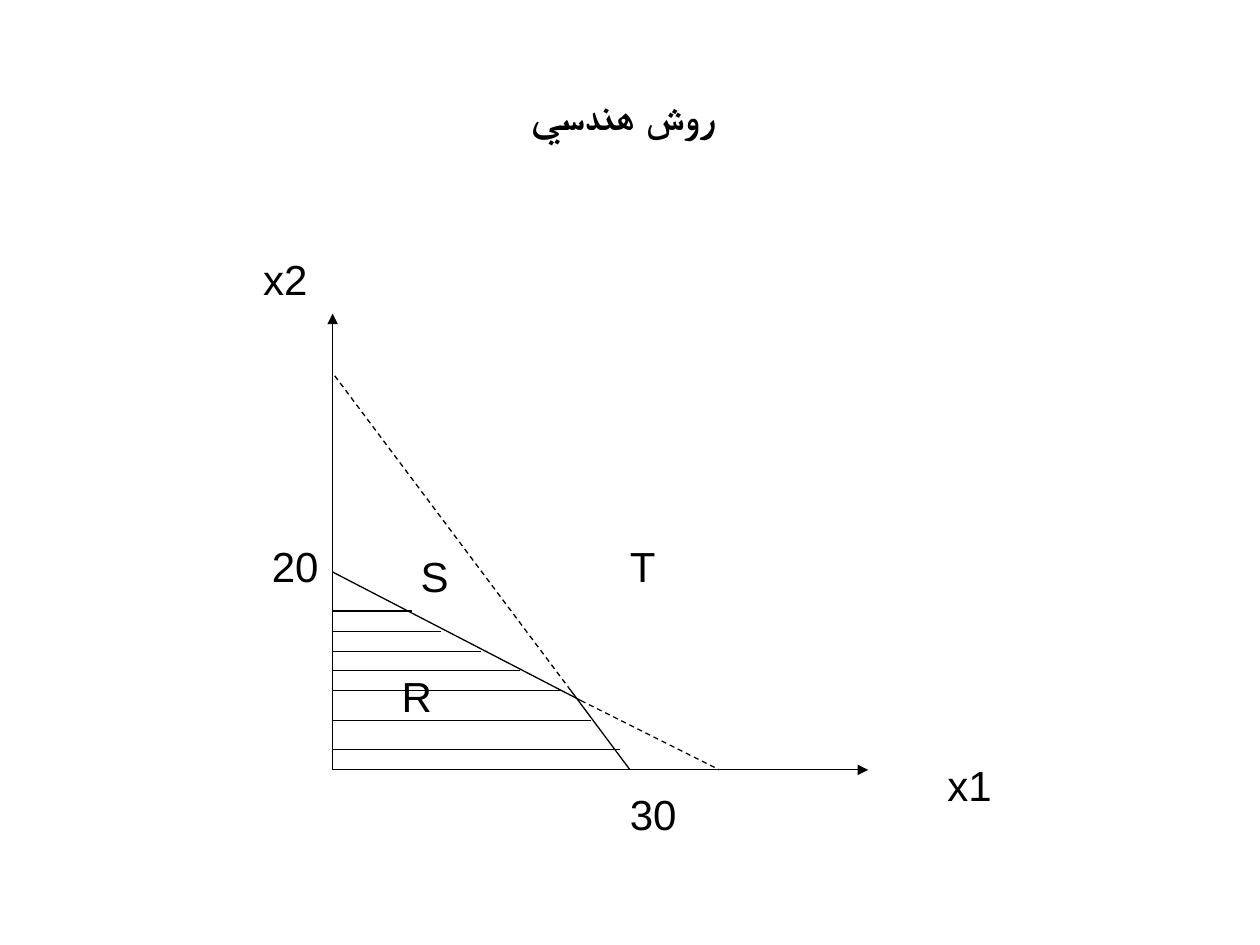
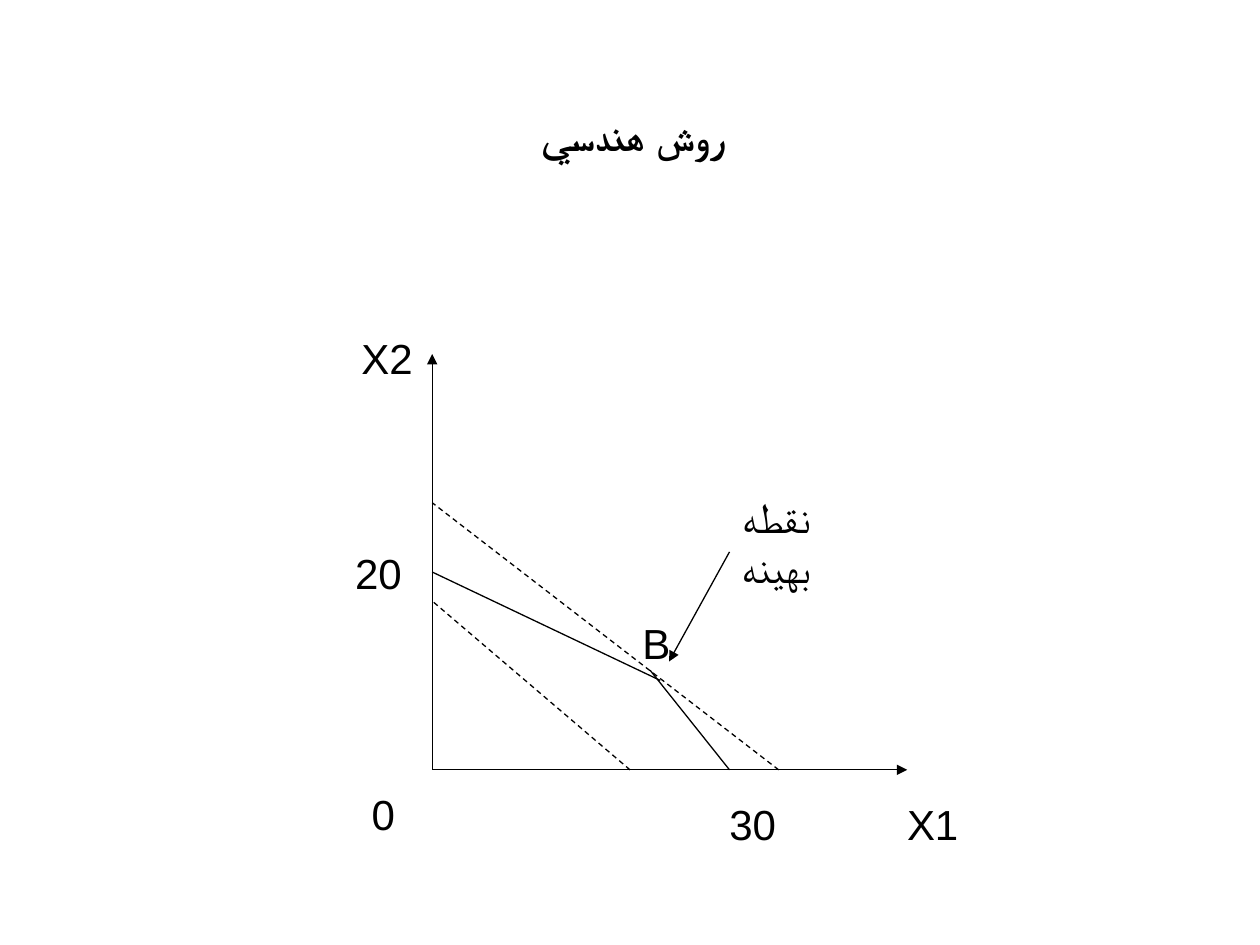
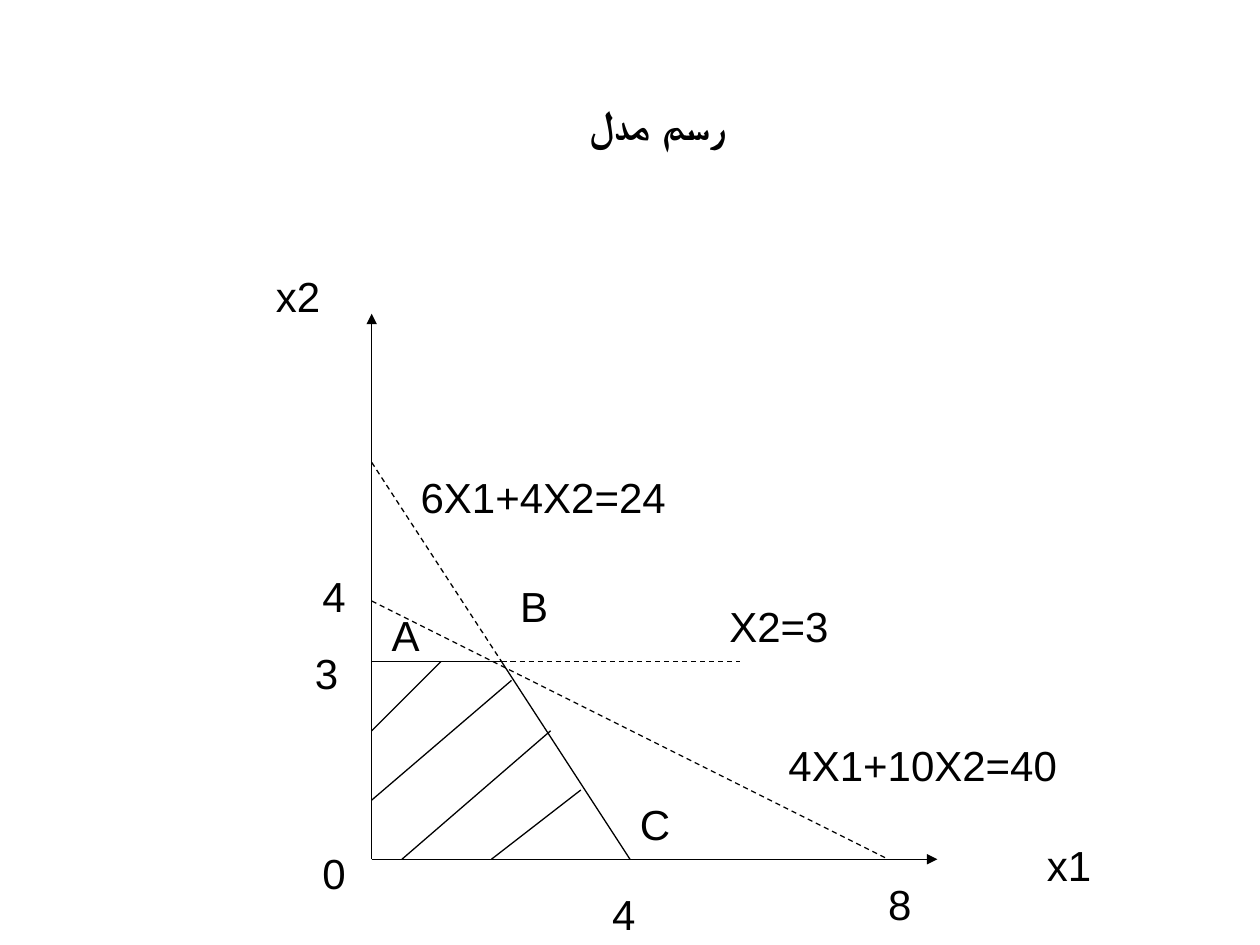
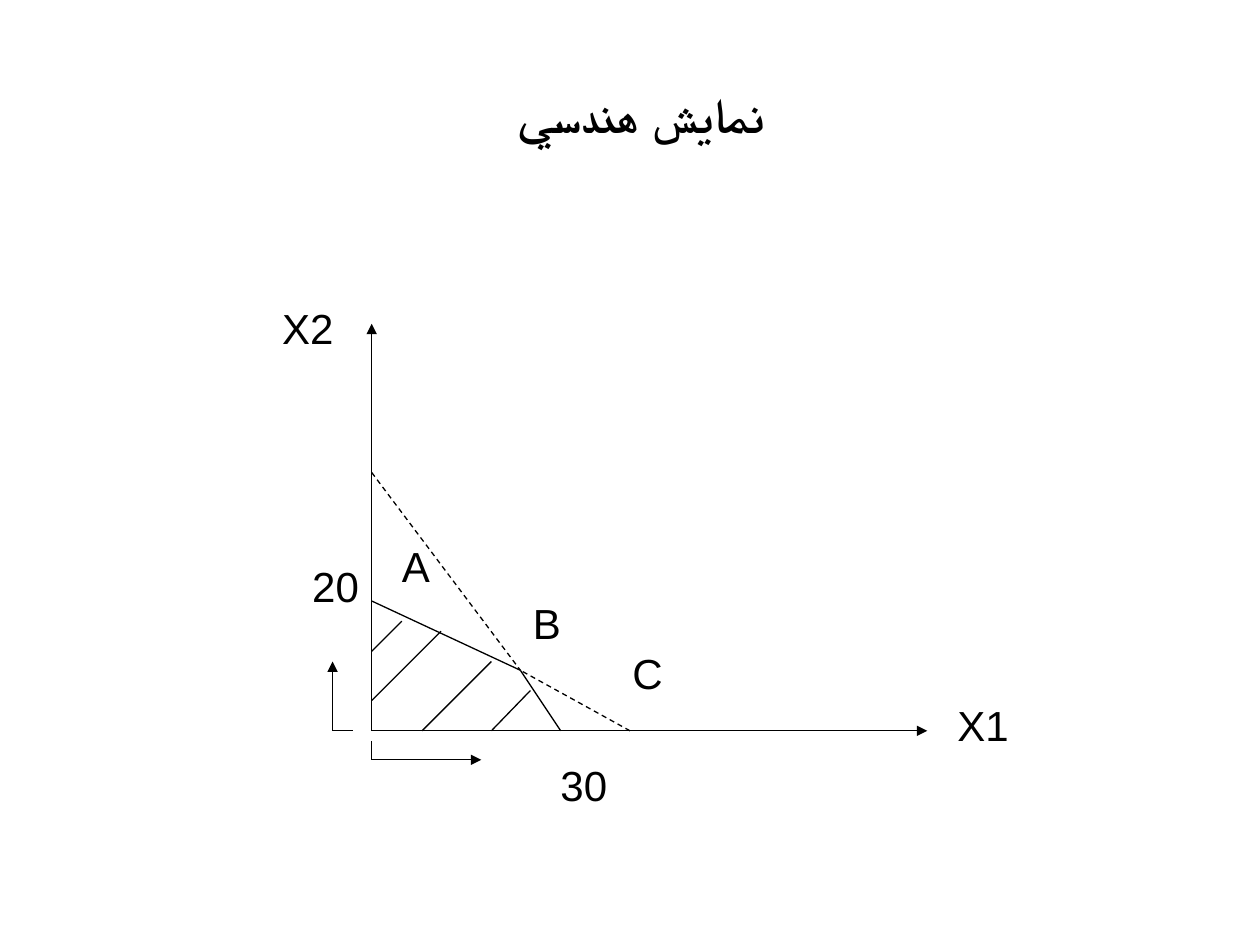
import dataclasses
import pptx
import pptx.dml.color
import pptx.enum.dml
import pptx.enum.shapes
import pptx.enum.text
import pptx.oxml
import pptx.oxml.ns
import pptx.slide
import pptx.util

Inches = pptx.util.Inches
BLACK = "000000"
FONT = "Arial"
LABEL_HEIGHT = 0.5
LABEL_WIDTHS = {
    "20": 0.57, "30": 0.57, "x1": 0.55, "x2": 0.55, "X1": 0.61, "X2": 0.61,
    "R": 0.44, "C": 0.44, "S": 0.42, "A": 0.42, "B": 0.42, "T": 0.4,
    "X2=3": 0.99, "6X1+4X2=24": 2.15, "4X1+10X2=40": 2.34, "نقطه بهينه": 1.28,
}
DIGIT_WIDTH = 0.39


def color(hex_string):
    """Turn a hex string into a colour."""
    return pptx.dml.color.RGBColor.from_string(hex_string)


def write(frame, text, size=24, bold=False, align="LEFT", rtl=False):
    """Fill a text frame with one formatted paragraph."""
    paragraph = frame.paragraphs[0]
    paragraph.alignment = getattr(pptx.enum.text.PP_ALIGN, align)
    if rtl:
        paragraph._p.get_or_add_pPr().set("rtl", "1")
    run = paragraph.add_run()
    run.text = text
    run.font.name = FONT
    run.font.size = pptx.util.Pt(size)
    run.font.bold = bold
    run.font.color.rgb = color(BLACK)


def titled_slide(deck, text, left, top, size=24, lead=0):
    """Add a title-only slide with its heading; lead is the extra left inset."""
    slide = deck.slides.add_slide(deck.slide_layouts[5])
    heading = slide.shapes.title
    heading.left, heading.top = Inches(left), Inches(top)
    heading.width, heading.height = Inches(9), Inches(1.25)
    frame = heading.text_frame
    frame.margin_left = Inches(0.1 + lead)
    frame.vertical_anchor = pptx.enum.text.MSO_ANCHOR.MIDDLE
    write(frame, text, size=size, bold=True, align="CENTER")
    return slide


@dataclasses.dataclass
class Graph:
    """A graph whose points are inches right of and above its origin."""
    slide: pptx.slide.Slide
    left: float
    base: float

    def place(self, point):
        """Turn a graph point into slide lengths."""
        across, up = point
        return Inches(self.left + across), Inches(self.base - up)

    def line(self, start, end, dashed=False, arrow=False):
        """Draw one thin line between two points."""
        stroke = self.slide.shapes.add_connector(
            pptx.enum.shapes.MSO_CONNECTOR.STRAIGHT, *self.place(start), *self.place(end))
        stroke.line.color.rgb = color(BLACK)
        stroke.line.width = pptx.util.Pt(0.75)
        if dashed:
            stroke.line.dash_style = pptx.enum.dml.MSO_LINE.DASH
        if arrow:
            head = pptx.oxml.parse_xml(
                f'<a:tailEnd {pptx.oxml.ns.nsdecls("a")} type="triangle"/>')
            stroke.line._get_or_add_ln().append(head)
        stroke._element.spPr.append(
            pptx.oxml.parse_xml(f'<a:effectLst {pptx.oxml.ns.nsdecls("a")}/>'))

    def lines(self, *segments, **style):
        """Draw several lines in one style."""
        for start, end in segments:
            self.line(start, end, **style)

    def axes(self, across, up):
        """Draw the two arrowed axes."""
        self.lines(((0, 0), (0, up)), ((0, 0), (across, 0)), arrow=True)

    def label(self, text, across, up, wrap=False, **style):
        """Put a label with its top left corner at a point."""
        width = LABEL_WIDTHS.get(text, DIGIT_WIDTH)
        box = self.slide.shapes.add_textbox(
            *self.place((across, up)), Inches(width), Inches(LABEL_HEIGHT))
        box.text_frame.word_wrap = wrap
        box.text_frame.auto_size = pptx.enum.text.MSO_AUTO_SIZE.SHAPE_TO_FIT_TEXT
        write(box.text_frame, text, **style)

    def labels(self, *items):
        """Put several plain labels."""
        for item in items:
            self.label(*item)


def regions_slide(deck):
    """Show the regions R, S and T cut by two constraints."""
    graph = Graph(titled_slide(deck, "روش هندسي", 0.35, 0.28, lead=0.19), 2.64, 6.11)
    graph.axes(4.25, 3.62)
    graph.lines(((2.36, 0), (1.89, 0.63)), ((0, 1.57), (1.97, 0.55)))
    hatching = [(0.63, 1.26), (0.86, 1.1), (1.18, 0.94), (1.49, 0.79),
                (1.81, 0.63), (2.05, 0.39), (0.71, 0.16), (2.28, 0.16)]
    graph.lines(*(((0, up), (across, up)) for across, up in hatching))
    graph.lines(((1.89, 0.63), (0, 3.15)), ((1.97, 0.55), (3.07, 0)), dashed=True)
    graph.labels(("20", -0.58, 1.87), ("30", 2.26, -0.1), ("x2", -0.65, 4.15),
                 ("x1", 4.78, 0.13), ("R", 0.45, 0.84), ("S", 0.6, 1.79), ("T", 2.26, 1.87))


def optimum_slide(deck):
    """Show the objective lines and the optimal point."""
    graph = Graph(titled_slide(deck, "روش هندسي", 0.43, 0.44, lead=0.19), 3.43, 6.11)
    graph.axes(3.77, 3.3)
    graph.lines(((0, 1.57), (1.81, 0.71)), ((2.36, 0), (1.73, 0.79)))
    graph.lines(((1.57, 0), (0, 1.34)), ((2.75, 0), (0, 2.12)), dashed=True)
    graph.label("نقطه بهينه", 1.82, 2.26, wrap=True, align="RIGHT", rtl=True)
    graph.line((2.36, 1.73), (1.88, 0.86), arrow=True)
    graph.labels(("20", -0.71, 1.81), ("30", 2.26, -0.18), ("X2", -0.66, 3.52),
                 ("X1", 3.67, -0.18), ("B", 1.57, 1.26), ("0", -0.58, -0.1))


def model_slide(deck):
    """Show the model with its three constraint equations."""
    graph = Graph(titled_slide(deck, "رسم مدل", 0.67, 0.36, lead=0.09), 2.95, 6.82)
    corner = (1.03, 1.57)
    graph.axes(4.49, 4.33)
    graph.lines(((2.05, 0), corner), (corner, (0, 1.57)))
    graph.lines((corner, (2.92, 1.57)), ((0, 3.15), corner), ((0, 2.05), (4.1, 0)),
                dashed=True)
    graph.lines(((0.55, 1.57), (0, 1.02)), ((1.11, 1.42), (0, 0.47)),
                ((1.42, 1.02), (0.24, 0)), ((1.66, 0.55), (0.95, 0)))
    graph.label("x2", -0.86, 4.72, align="RIGHT", rtl=True)
    graph.labels(("x1", 5.26, 0.21), ("0", -0.49, 0.14), ("3", -0.55, 1.73),
                 ("4", 1.81, -0.18), ("4", -0.49, 2.34), ("8", 4, -0.1),
                 ("B", 1.08, 2.26), ("A", 0.06, 2.03), ("C", 2.03, 0.53),
                 ("X2=3", 2.74, 2.1), ("6X1+4X2=24", 0.29, 3.13),
                 ("4X1+10X2=40", 3.21, 1))


def feasible_slide(deck):
    """Show the feasible region and the directions of growth."""
    graph = Graph(titled_slide(deck, "نمايش هندسي", 0.59, 0.28, size=28), 2.95, 5.8)
    corner = (1.18, 0.48)
    graph.axes(4.41, 3.23)
    graph.lines(((1.5, 0), corner), ((0, 1.03), corner))
    graph.lines(((0, 2.05), corner), ((2.05, 0), corner), dashed=True)
    graph.lines(((0, -0.08), (0, -0.23)), ((-0.15, 0), (-0.31, 0)))
    graph.lines(((0, -0.23), (0.87, -0.23)), ((-0.31, 0), (-0.31, 0.55)), arrow=True)
    graph.lines(((1.26, 0.32), (0.95, 0)), ((0.95, 0.55), (0.4, 0)),
                ((0.55, 0.79), (0, 0.24)), ((0.24, 0.87), (0, 0.63)))
    graph.labels(("X2", -0.81, 3.45), ("X1", 4.55, 0.3), ("20", -0.57, 1.4),
                 ("30", 1.4, -0.18), ("A", 0.14, 1.56), ("C", 1.97, 0.71),
                 ("B", 1.18, 1.11))


def main():
    """Build and save the four slides."""
    deck = pptx.Presentation()
    deck.slide_width, deck.slide_height = Inches(10), Inches(7.5)
    for build in (regions_slide, optimum_slide, model_slide, feasible_slide):
        build(deck)
    deck.save("out.pptx")


if __name__ == "__main__":
    main()
